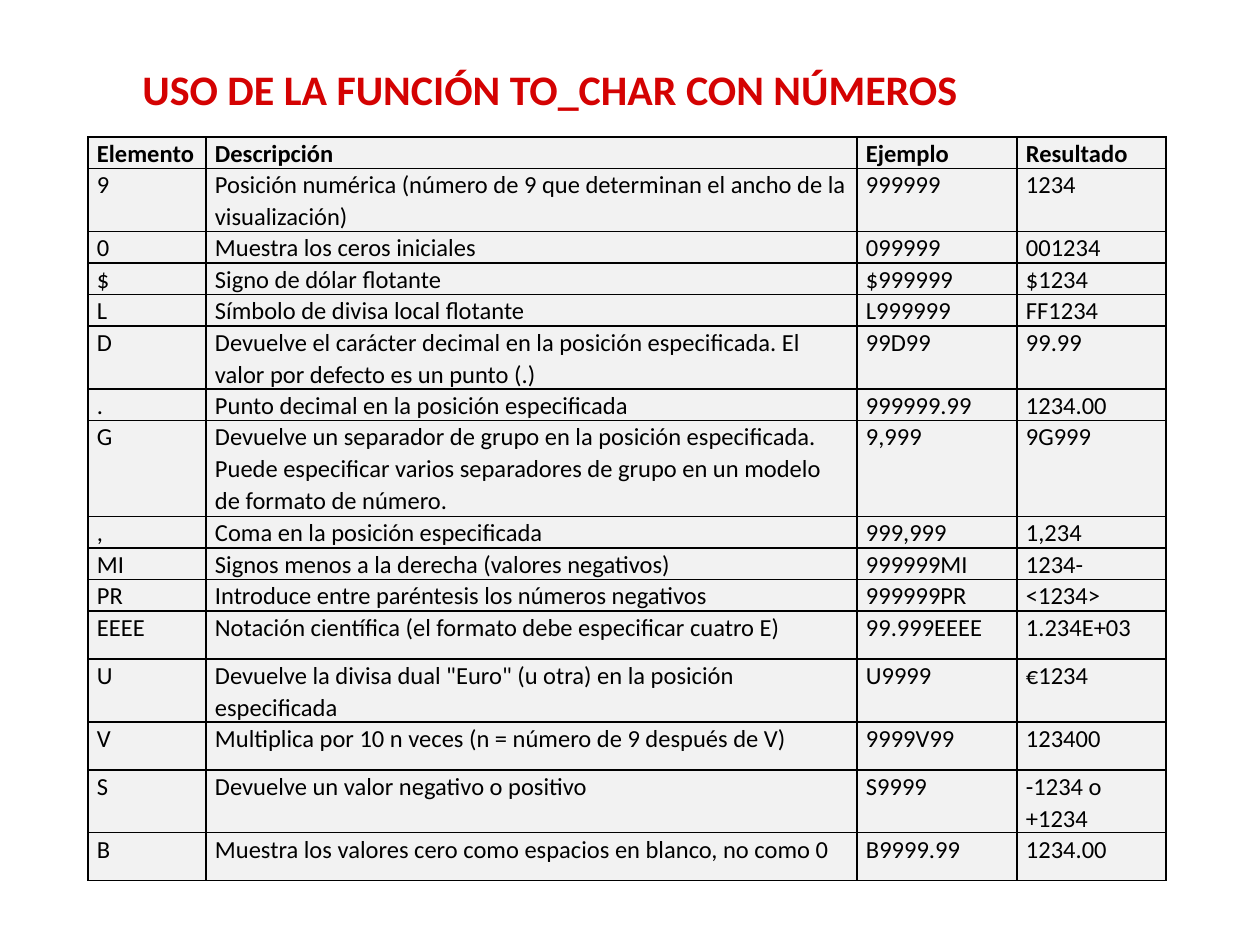
import pptx
import pptx.dml.color
import pptx.enum.text
import pptx.oxml
import pptx.oxml.ns
import pptx.util

EMU_PER_PX = 914400 // 126
FONT = "Calibri"
COLORS = {"title": "D40202", "text": "000000", "cell": "F2F2F2", "border": "000000"}

COLUMN_WIDTHS = [118, 651, 160, 149]
LINE_HEIGHT = 24
# Each row: minimum height in lines, then its four cells.
FORMAT_ROWS = [
    (1, "Elemento", "Descripción", "Ejemplo", "Resultado"),
    (2, "9", "Posición numérica (número de 9 que determinan el ancho de la visualización)",
     "999999", "1234"),
    (1, "0", "Muestra los ceros iniciales", "099999", "001234"),
    (1, "$", "Signo de dólar flotante", "$999999", "$1234"),
    (1, "L", "Símbolo de divisa local flotante", "L999999", "FF1234"),
    (2, "D", "Devuelve el carácter decimal en la posición especificada. "
     "El valor por defecto es un punto (.)", "99D99", "99.99"),
    (1, ".", "Punto decimal en la posición especificada", "999999.99", "1234.00"),
    (4, "G", "Devuelve un separador de grupo en la posición especificada. Puede "
     "especificar varios separadores de grupo en un modelo de formato de número.",
     "9,999", "9G999"),
    (1, ",", "Coma en la posición especificada", "999,999", "1,234"),
    (1, "MI", "Signos menos a la derecha (valores negativos)", "999999MI", "1234-"),
    (1, "PR", "Introduce entre paréntesis los números negativos", "999999PR", "<1234>"),
    (2, "EEEE", "Notación científica (el formato debe especificar cuatro E)",
     "99.999EEEE", "1.234E+03"),
    (2, "U", 'Devuelve la divisa dual "Euro" (u otra) en la posición especificada',
     "U9999", "€1234"),
    (2, "V", "Multiplica por 10 n veces (n = número de 9 después de V)",
     "9999V99", "123400"),
    (2, "S", "Devuelve un valor negativo o positivo", "S9999", "-1234 o +1234"),
    (2, "B", "Muestra los valores cero como espacios en blanco, no como 0",
     "B9999.99", "1234.00"),
]


def px(length):
    return pptx.util.Emu(length * EMU_PER_PX)


def rgb(name):
    return pptx.dml.color.RGBColor.from_string(COLORS[name])


def write_text(frame, text, size, color="text", bold=False, line_spacing=1.0):
    frame.word_wrap = True
    para = frame.paragraphs[0]
    para.alignment = pptx.enum.text.PP_ALIGN.LEFT
    para.line_spacing = line_spacing
    span = para.add_run()
    span.text = text
    span.font.name = FONT
    span.font.size = pptx.util.Pt(size)
    span.font.bold = bold
    span.font.color.rgb = rgb(color)


def add_borders(cell):
    """Draw a 1 pt line on all four sides; the lines must precede the cell fill."""
    properties = cell._tc.get_or_add_tcPr()
    for index, side in enumerate(("lnL", "lnR", "lnT", "lnB")):
        line = pptx.oxml.parse_xml(
            f'<a:{side} {pptx.oxml.ns.nsdecls("a")} w="{pptx.util.Pt(1)}">'
            f'<a:solidFill><a:srgbClr val="{COLORS["border"]}"/></a:solidFill></a:{side}>')
        properties.insert(index, line)


def add_title(page, left, top, width, height):
    box = page.shapes.add_textbox(px(left), px(top), px(width), px(height))
    box.text_frame.vertical_anchor = pptx.enum.text.MSO_ANCHOR.MIDDLE
    write_text(box.text_frame, "USO DE LA FUNCIÓN TO_CHAR CON NÚMEROS",
               size=24, color="title", bold=True)


def add_format_table(page, left, top, width, height):
    frame = page.shapes.add_table(len(FORMAT_ROWS), len(COLUMN_WIDTHS),
                                  px(left), px(top), px(width), px(height))
    table = frame.table
    table.horz_banding = False
    for column, column_width in zip(table.columns, COLUMN_WIDTHS):
        column.width = px(column_width)
    for row_index, (lines, *texts) in enumerate(FORMAT_ROWS):
        row = table.rows[row_index]
        row.height = px(lines * LINE_HEIGHT)
        for cell, text in zip(row.cells, texts):
            cell.margin_left = cell.margin_right = px(9)
            cell.margin_top = cell.margin_bottom = 0
            cell.fill.solid()
            cell.fill.fore_color.rgb = rgb("cell")
            add_borders(cell)
            write_text(cell.text_frame, text, size=14, bold=row_index == 0,
                       line_spacing=1.07)
    frame.height = px(height)


def main():
    deck = pptx.Presentation()
    deck.slide_width = px(1260)
    deck.slide_height = px(945)
    page = deck.slides.add_slide(deck.slide_layouts[6])
    add_title(page, 130, 44, 1010, 90)
    add_format_table(page, 88, 137, sum(COLUMN_WIDTHS), 742)
    deck.save("out.pptx")


if __name__ == "__main__":
    main()
